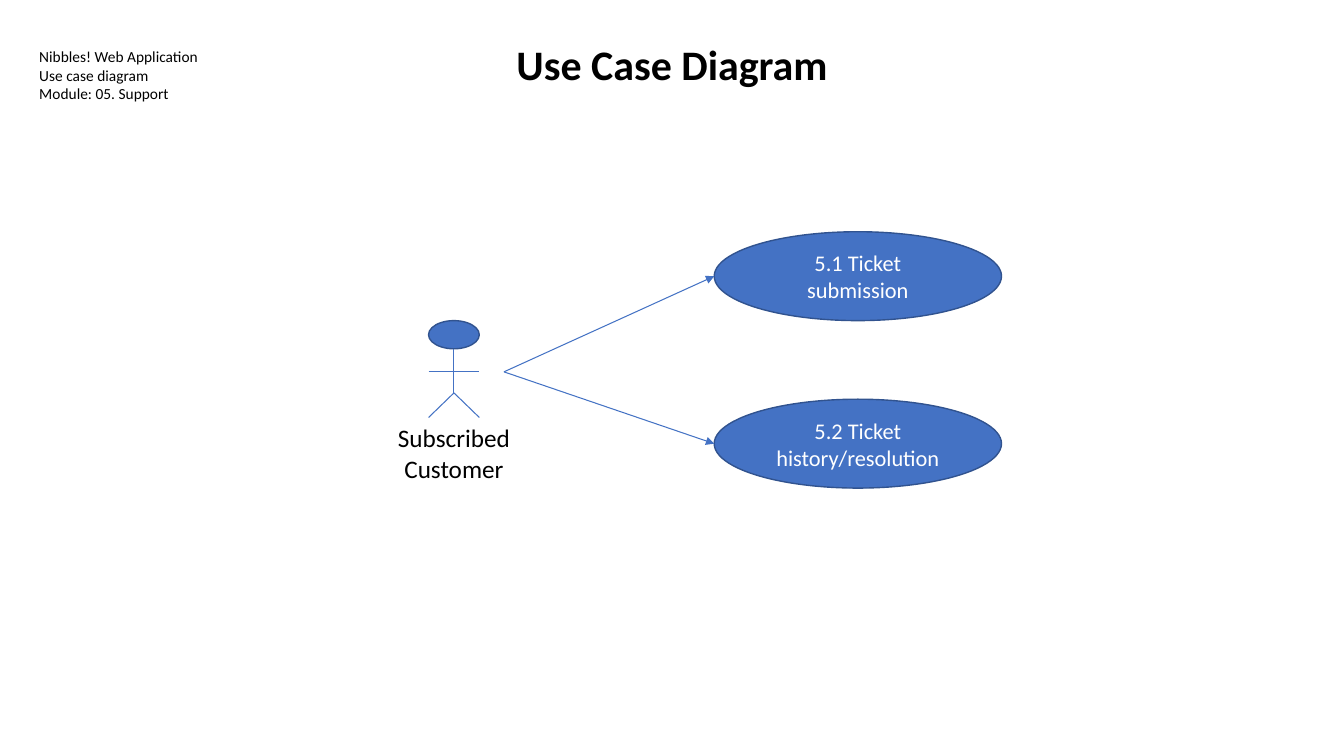
from lxml import etree
from pptx import Presentation
from pptx.dml.color import RGBColor
from pptx.enum import shapes, text
from pptx.oxml import ns
from pptx import util as u

COLORS = {"blue": "4472C4", "edge": "31538F", "white": "FFFFFF", "black": "000000"}
FONT = "Calibri"


def rgb(name):
    return RGBColor.from_string(COLORS[name])


def write(sp, content, size=18, color="black", bold=False,
          align=text.PP_ALIGN.CENTER, anchor=text.MSO_ANCHOR.TOP, pad=0.13):
    tf = sp.text_frame
    tf.word_wrap = True
    tf.vertical_anchor = anchor
    tf.margin_left = tf.margin_right = u.Cm(0.25)
    tf.margin_top = tf.margin_bottom = u.Cm(pad)
    for i, line in enumerate(content.split("\n")):
        p = tf.paragraphs[0] if i == 0 else tf.add_paragraph()
        p.alignment = align
        r = p.add_run()
        r.text = line
        r.font.name = FONT
        r.font.size = u.Pt(size)
        r.font.bold = bold
        r.font.color.rgb = rgb(color)


def add_text(s, box, content, **fmt):
    write(s.shapes.add_textbox(*map(u.Cm, box)), content, **fmt)


def add_ellipse(s, box):
    sp = s.shapes.add_shape(shapes.MSO_SHAPE.OVAL, *map(u.Cm, box))
    sp.shadow.inherit = False
    sp.fill.solid()
    sp.fill.fore_color.rgb = rgb("blue")
    sp.line.color.rgb = rgb("edge")
    sp.line.width = u.Pt(1)
    return sp


def add_line(s, start, end, arrow=False):
    cn = s.shapes.add_connector(shapes.MSO_CONNECTOR.STRAIGHT, *map(u.Cm, (*start, *end)))
    cn.line.color.rgb = rgb("blue")
    cn.line.width = u.Pt(0.75)
    if arrow:
        etree.SubElement(cn.line._get_or_add_ln(), ns.qn("a:tailEnd"), type="triangle")
    etree.SubElement(cn._element.spPr, ns.qn("a:effectLst"))


def add_header(s, box):
    x, y, w, h = box
    add_text(s, (x, y + 0.23, 7.06, 2.41), "Nibbles! Web Application\nUse case diagram\nModule: 05. Support",
             size=11, align=text.PP_ALIGN.LEFT, pad=0.25)
    title_w = 9.25
    add_text(s, (x + (w - title_w) / 2, y, title_w, h), "Use Case Diagram",
             size=30, bold=True, pad=0.25)


def add_actor(s, box, name):
    x, y, w, h = box
    mid, neck, arms, hip, feet = x + w / 2, y + 0.71, y + 1.29, y + 1.82, y + h
    add_ellipse(s, (x, y, w, neck - y))
    add_line(s, (mid, neck), (mid, hip))
    add_line(s, (x, arms), (x + w, arms))
    for foot in (x, x + w):
        add_line(s, (mid, hip), (foot, feet))
    label_w = 3.4
    add_text(s, (mid - label_w / 2, feet, label_w, 1.8), name)
    return x + w + 0.62, arms


def add_use_cases(s, box, names, source):
    x, y, w, h = box
    oval_h = 2.24
    pitch = (h - oval_h) / (len(names) - 1)
    for i, name in enumerate(names):
        top = y + i * pitch
        sp = add_ellipse(s, (x, top, w, oval_h))
        write(sp, name, size=16, color="white", anchor=text.MSO_ANCHOR.MIDDLE)
        add_line(s, source, (x, top + oval_h / 2), arrow=True)


prs = Presentation()
prs.slide_width, prs.slide_height = u.Cm(33.87), u.Cm(19.05)
s = prs.slides.add_slide(prs.slide_layouts[6])
add_header(s, (0.74, 0.71, 32.4, 1.8))
source = add_actor(s, (10.8, 8.08, 1.28, 2.44), "Subscribed\nCustomer")
add_use_cases(s, (18, 5.84, 7.24, 6.46),
              ["5.1 Ticket submission", "5.2 Ticket history/resolution"], source)
prs.save("out.pptx")
